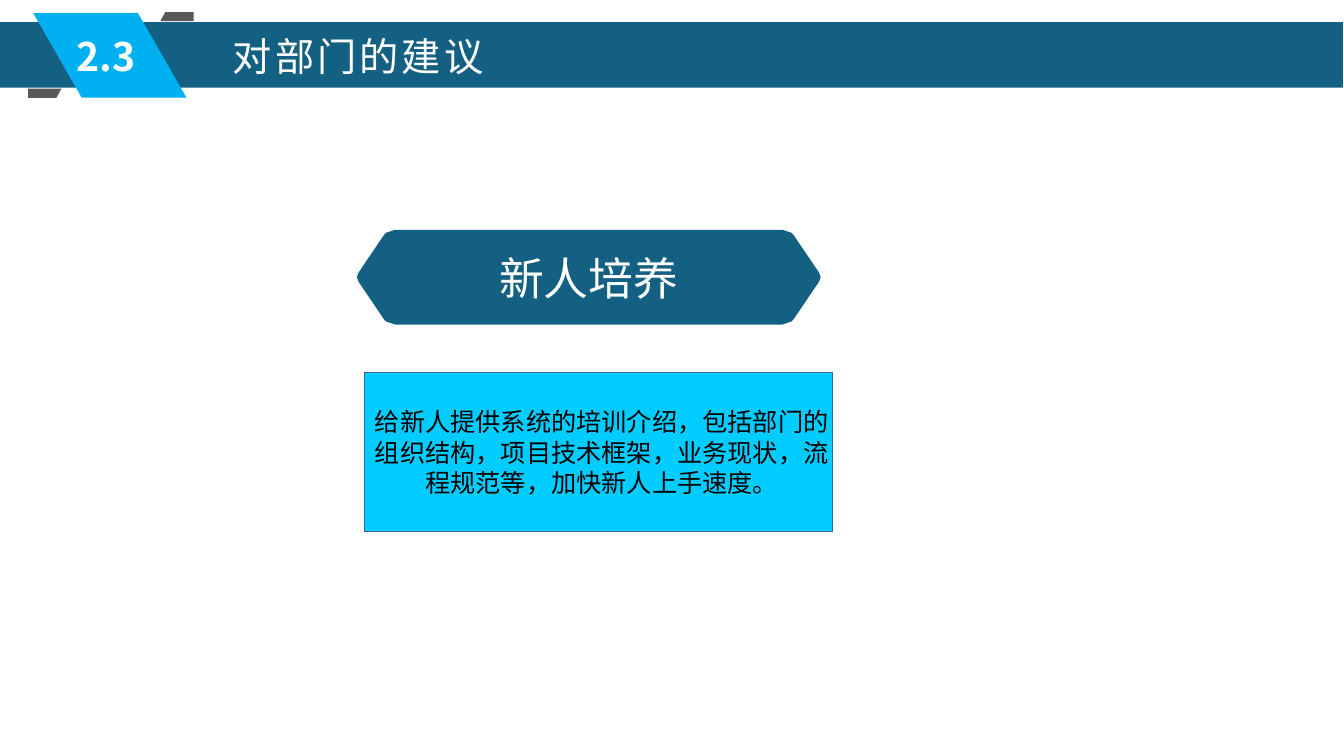
from pptx import Presentation
from pptx.dml.color import RGBColor
from pptx.enum.shapes import MSO_SHAPE
from pptx.enum.text import MSO_ANCHOR, PP_ALIGN
from pptx.oxml.ns import qn
from pptx.util import Inches, Pt
from lxml import etree

RECTANGLE = MSO_SHAPE.RECTANGLE
PARALLELOGRAM = MSO_SHAPE.PARALLELOGRAM
MIDDLE = MSO_ANCHOR.MIDDLE
LEFT, CENTER = PP_ALIGN.LEFT, PP_ALIGN.CENTER

TEAL, SKY, CYAN = "136083", "00B0F0", "00CCFF"
GRAY, BLUE, WHITE, BLACK = "595959", "3465A4", "FFFFFF", "000000"
HEADING_FONT = "Noto Sans CJK SC"


def color(value):
    return RGBColor.from_string(value)


def paint(shape, fill, line=None):
    shape.shadow.inherit = False
    shape.fill.solid()
    shape.fill.fore_color.rgb = color(fill)
    if line:
        shape.line.color.rgb = color(line)
        shape.line.width = Pt(0.75)
    else:
        shape.line.fill.background()
    return shape


def add_preset(page, kind, box, fill, line=None):
    shape = page.shapes.add_shape(kind, *map(Inches, box))
    return paint(shape, fill, line)


def add_outline(page, left, top, points, fill):
    corners = [(Inches(left + x), Inches(top + y)) for x, y in points]
    builder = page.shapes.build_freeform(*corners[0], scale=1.0)
    builder.add_line_segments(corners[1:], close=True)
    return paint(builder.convert_to_shape(), fill)


def write(shape, text, size, font, ink, aligns, wrap=True, bold=False, spacing=0):
    frame = shape.text_frame
    frame.text = text
    frame.word_wrap = wrap
    for para, align in zip(frame.paragraphs, aligns):
        para.alignment = align
        for span in para.runs:
            span.font.size = Pt(size)
            span.font.name = font
            span.font.bold = bold
            span.font.color.rgb = color(ink)
            properties = span.font._element
            east_asian = etree.SubElement(properties, qn("a:ea"))
            east_asian.set("typeface", font)
            if spacing:
                properties.set("spc", str(int(spacing * 100)))


def add_label(page, box, text, align, **style):
    label = page.shapes.add_textbox(*map(Inches, box))
    write(label, text, 28, HEADING_FONT, WHITE, [align], **style)


def add_header(page, left, top, width, height):
    add_preset(page, RECTANGLE, (left, top, width, height), TEAL)
    lower_tab = [(0, 0), (0.33, 0), (0.28, 0.09), (0, 0.09)]
    upper_tab = [(0.33 - x, 0.09 - y) for x, y in lower_tab]
    add_outline(page, left + 0.28, top + 0.66, lower_tab, GRAY)
    add_outline(page, left + 1.59, top - 0.1, upper_tab, GRAY)
    badge = add_preset(page, PARALLELOGRAM, (left + 0.33, top - 0.09, 1.52, 0.84), SKY)
    badge.adjustments[0] = 0.573
    badge._element.spPr.xfrm.set("flipH", "1")
    add_label(page, (left + 0.33, top + 0.05, 1.44, 0.56), "2.3", CENTER, bold=True)
    add_label(page, (left + 2.21, top + 0.05, 2.73, 0.55), "对部门的建议", LEFT,
              wrap=False, spacing=2.3)


def add_topic(page, left, top, width, height):
    insets = [(0.38, 0), (0.35, 0.01), (0.32, 0.02), (0.29, 0.03), (0.27, 0.05),
              (0.02, 0.42), (0.01, 0.44), (0, 0.47)]
    right_side = [(width - x, y) for x, y in insets]
    right_side += [(x, height - y) for x, y in reversed(right_side[:-1])]
    left_side = [(width - x, y) for x, y in reversed(right_side)]
    topic = add_outline(page, left, top, right_side + left_side, TEAL)
    topic.text_frame.vertical_anchor = MIDDLE
    write(topic, "新人培养", 32, "Calibri", WHITE, [CENTER])


def add_advice(page, left, top, width, height):
    advice = add_preset(page, RECTANGLE, (left, top, width, height), CYAN, BLUE)
    advice.text_frame.vertical_anchor = MIDDLE
    lines = ["给新人提供系统的培训介绍，包括部门的",
             "组织结构，项目技术框架，业务现状，流",
             "程规范等，加快新人上手速度。"]
    write(advice, "\n".join(lines), 18, "Arial", BLACK, [LEFT, LEFT, CENTER], wrap=False)


def main():
    deck = Presentation()
    deck.slide_width, deck.slide_height = Inches(13.33), Inches(7.5)
    page = deck.slides.add_slide(deck.slide_layouts[6])
    add_header(page, 0, 0.22, 13.32, 0.65)
    add_topic(page, 3.54, 2.28, 4.6, 0.94)
    add_advice(page, 3.62, 3.7, 4.64, 1.57)
    deck.save("out.pptx")


if __name__ == "__main__":
    main()
